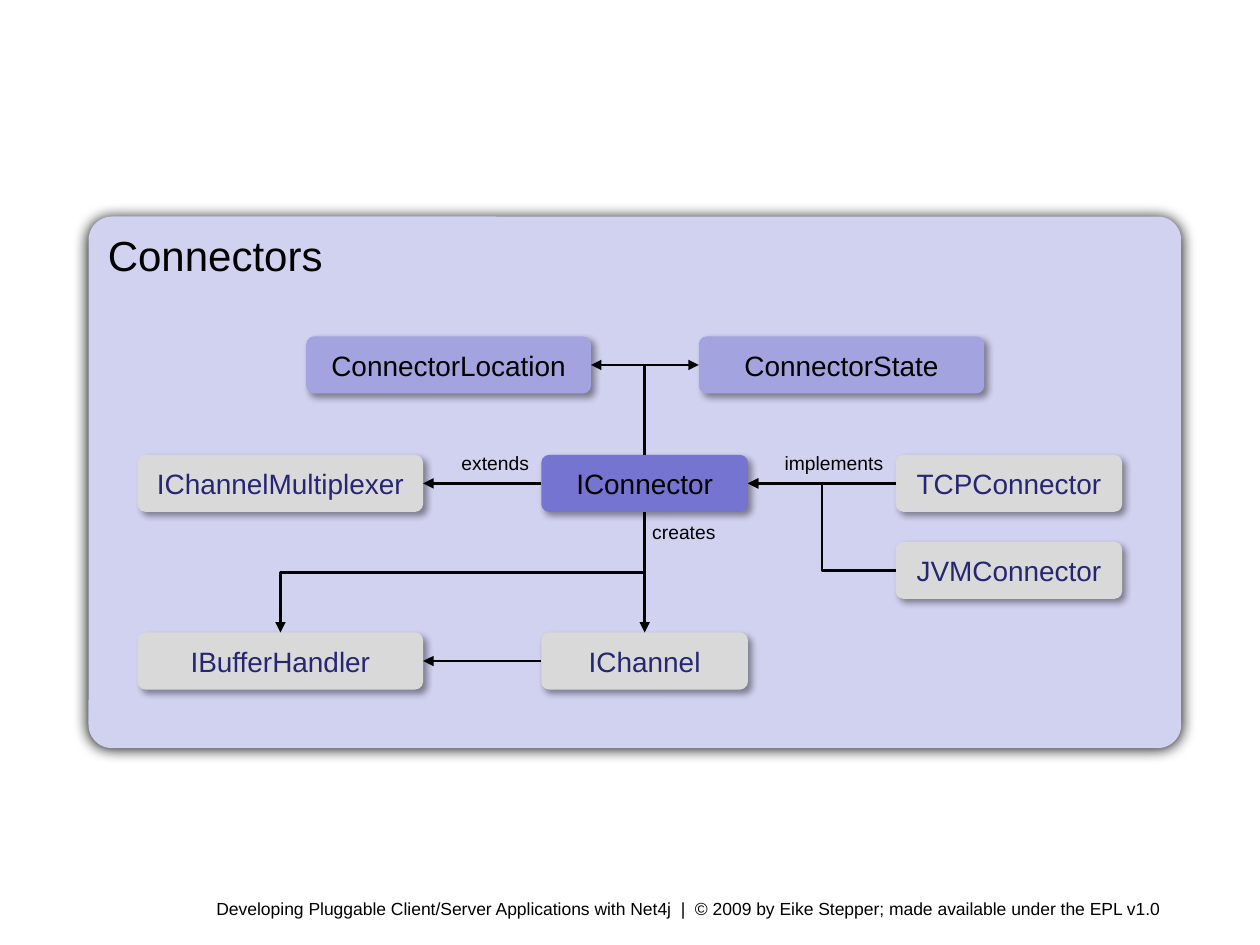
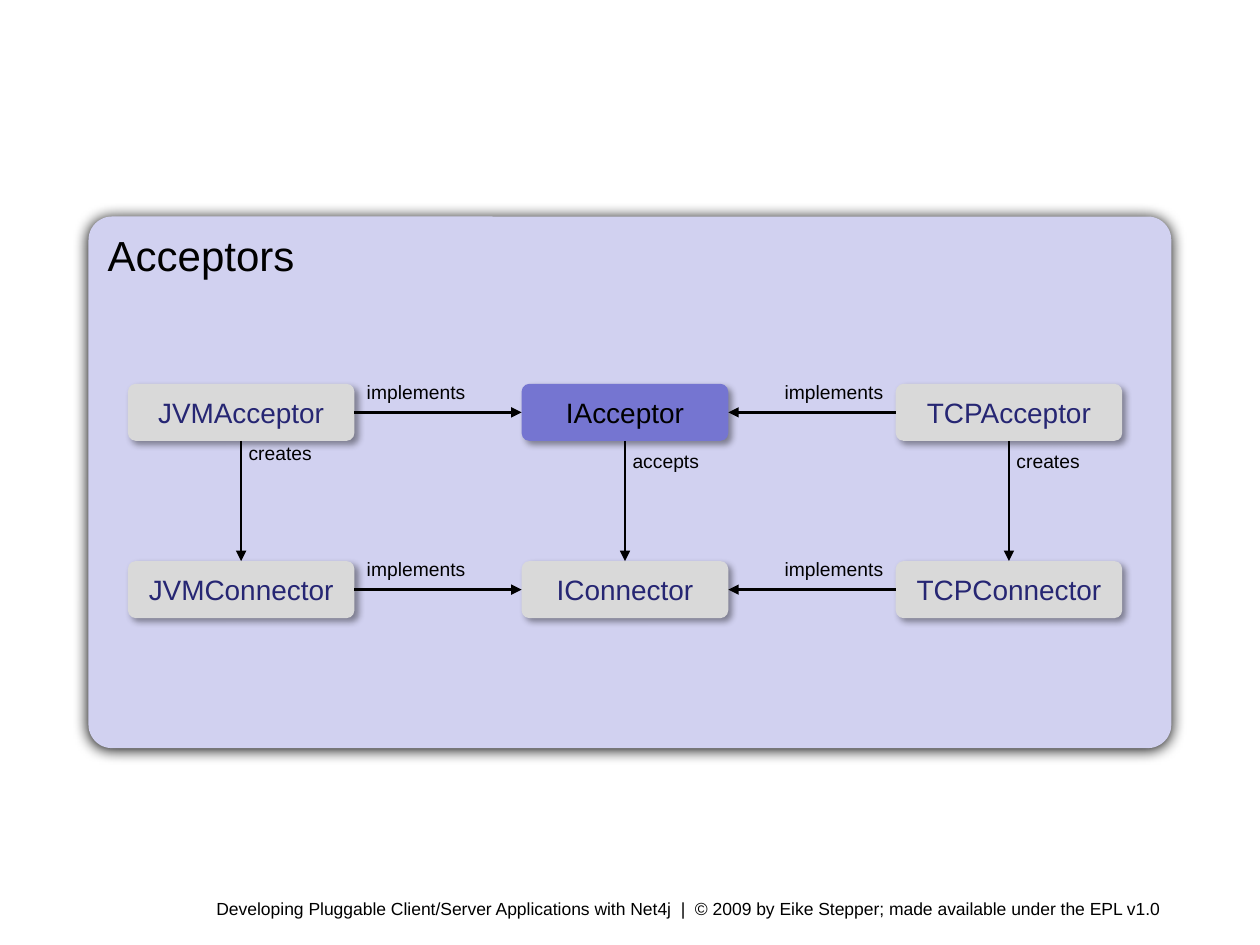
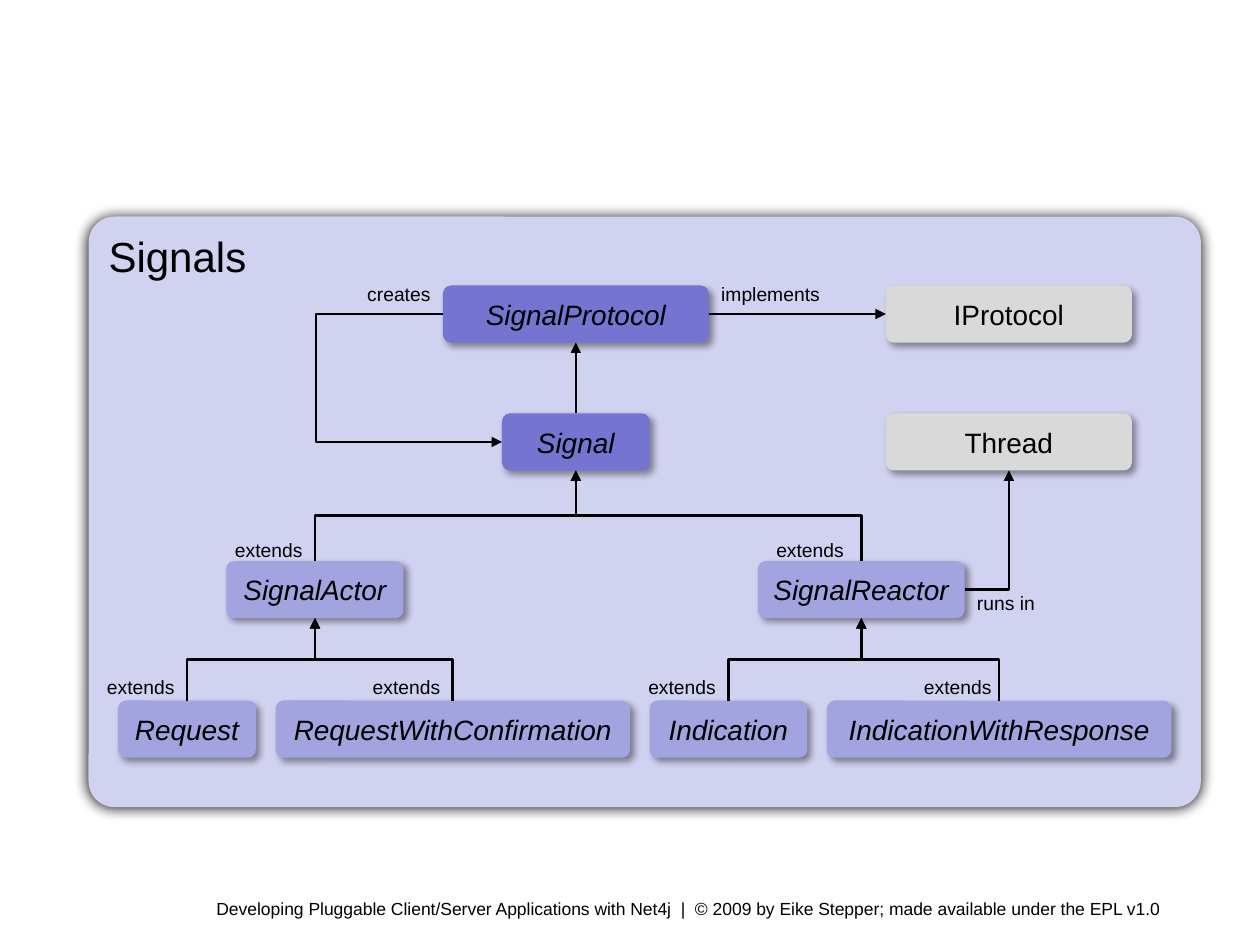
from dataclasses import dataclass
from functools import partial

from lxml.etree import SubElement
from pptx import Presentation
from pptx.dml.color import RGBColor
from pptx.enum.shapes import MSO_CONNECTOR, MSO_SHAPE
from pptx.enum.text import MSO_ANCHOR, PP_ALIGN
from pptx.oxml.ns import qn
from pptx.util import Pt

BLACK = RGBColor(0x00, 0x00, 0x00)
NAVY = RGBColor(0x26, 0x26, 0x73)
LAVENDER = RGBColor(0xD1, 0xD1, 0xF0)
LILAC = RGBColor(0xA3, 0xA3, 0xE0)
VIOLET = RGBColor(0x75, 0x75, 0xD1)
GREY = RGBColor(0xD9, 0xD9, 0xD9)

FONT = "Arial"
FOOTER = (" Developing Pluggable Client/Server Applications with Net4j  |  "
          "© 2009 by Eike Stepper; made available under the EPL v1.0")
NODE_HEIGHT = 32.6
NARROW, MEDIUM, WIDE = 118.1, 129.4, 163.1
SITES = {"top": 0, "left": 1, "bottom": 2, "right": 3}


@dataclass
class Box:
    """An area of the slide in points."""
    left: float
    top: float
    width: float
    height: float

    def lengths(self):
        """Return the four measures as lengths."""
        return Pt(self.left), Pt(self.top), Pt(self.width), Pt(self.height)


def write(shape, text, size=16, color=BLACK, italic=False,
          align=PP_ALIGN.LEFT, anchor=MSO_ANCHOR.TOP):
    """Put formatted text into a shape."""
    frame = shape.text_frame
    frame.word_wrap = True
    frame.vertical_anchor = anchor
    paragraph = frame.paragraphs[0]
    paragraph.alignment = align
    run = paragraph.add_run()
    run.text = text
    run.font.name = FONT
    run.font.size = Pt(size)
    run.font.italic = italic
    run.font.color.rgb = color


def cast_shadow(shape, alpha, blur, distance, angle):
    """Give a shape a black outer shadow."""
    shape.shadow.inherit = False
    effects = shape._element.spPr.find(qn("a:effectLst"))
    shadow = SubElement(effects, qn("a:outerShdw"), blurRad=str(Pt(blur)),
                        dist=str(Pt(distance)), dir=str(angle * 60000),
                        algn="ctr", rotWithShape="0")
    tint = SubElement(shadow, qn("a:srgbClr"), val=str(BLACK))
    SubElement(tint, qn("a:alpha"), val=str(alpha * 1000))


def add_rounded(slide, box, fill, rounding):
    """Add a borderless rounded rectangle."""
    shape = slide.shapes.add_shape(MSO_SHAPE.ROUNDED_RECTANGLE, *box.lengths())
    shape.adjustments[0] = rounding
    shape.fill.solid()
    shape.fill.fore_color.rgb = fill
    shape.line.fill.background()
    return shape


def add_panel(slide, box, title):
    """Add the titled background of a diagram."""
    panel = add_rounded(slide, box, LAVENDER, 0.044)
    cast_shadow(panel, 100, 8.5, 1, 90)
    write(panel, title, size=24)


def add_node(slide, panel, text, x, y, width, fill=GREY, color=BLACK, italic=False):
    """Add a type box at an offset inside the panel."""
    box = Box(panel.left + x, panel.top + y, width, NODE_HEIGHT)
    node = add_rounded(slide, box, fill, 0.138)
    cast_shadow(node, 40, 4, 3, 45)
    write(node, text, color=color, italic=italic,
          align=PP_ALIGN.CENTER, anchor=MSO_ANCHOR.MIDDLE)
    return node


def site(node, side):
    """Return the middle of one side of a node."""
    x = {"left": 0, "right": node.width}.get(side, node.width // 2)
    y = {"top": 0, "bottom": node.height}.get(side, node.height // 2)
    return node.left + x, node.top + y


def add_label(slide, text, node, side, width=78.75, shift=0, drop=-21.9,
              align=PP_ALIGN.LEFT):
    """Add a relation name that starts or ends at one side of a node."""
    x, y = site(node, side)
    if align == PP_ALIGN.RIGHT:
        x -= Pt(width)
    label = slide.shapes.add_textbox(x + Pt(shift), y + Pt(drop), Pt(width), Pt(21))
    write(label, text, size=11, align=align)


def style_arrow(connector):
    """Make a connector a plain black arrow."""
    connector.line.color.rgb = BLACK
    connector.line.width = Pt(1.5)
    SubElement(connector.line._get_or_add_ln(), qn("a:tailEnd"), type="triangle")
    SubElement(connector._element.spPr, qn("a:effectLst"))


def add_arrow(slide, source, source_side, target, target_side):
    """Join two nodes with a straight arrow."""
    arrow = slide.shapes.add_connector(
        MSO_CONNECTOR.STRAIGHT, *site(source, source_side), *site(target, target_side))
    arrow.begin_connect(source, SITES[source_side])
    arrow.end_connect(target, SITES[target_side])
    style_arrow(arrow)


def add_elbow(slide, source, source_side, target, target_side, bend=None):
    """Join two nodes with a right-angled arrow, with one corner or two."""
    (x1, y1), (x2, y2) = site(source, source_side), site(target, target_side)
    arrow = slide.shapes.add_connector(MSO_CONNECTOR.ELBOW, x1, y1, x2, y2)
    properties = arrow._element.spPr
    vertical = ("top", "bottom")
    if source_side in vertical:
        across, down = x2 - x1, y2 - y1
        arrow.width, arrow.height = abs(down), abs(across)
        arrow.left = (x1 + x2 - abs(down)) // 2
        arrow.top = (y1 + y2 - abs(across)) // 2
        turned_back = across < 0 and down < 0
        frame = properties.find(qn("a:xfrm"))
        frame.set("rot", str((270 if turned_back else 90) * 60000))
        frame.set("flipH", str(int(down < 0 and not turned_back)))
        frame.set("flipV", str(int(across > 0 or turned_back)))
    geometry = properties.find(qn("a:prstGeom"))
    if (source_side in vertical) != (target_side in vertical):
        geometry.set("prst", "bentConnector2")
    elif bend is not None:
        guides = geometry.find(qn("a:avLst"))
        if guides is None:
            guides = SubElement(geometry, qn("a:avLst"))
        SubElement(guides, qn("a:gd"), name="adj1", fmla=f"val {round(bend * 100000)}")
    style_arrow(arrow)


def add_footer(slide, box):
    """Add the credit line below the diagram."""
    write(slide.shapes.add_textbox(*box.lengths()), FOOTER, size=10)


def draw_connectors(slide, box):
    """Draw the connector types."""
    add_panel(slide, box, "Connectors")
    node = partial(add_node, slide, box)
    arrow, elbow = partial(add_arrow, slide), partial(add_elbow, slide)
    label = partial(add_label, slide)
    enum_row, main_row, jvm_row, channel_row = 68.5, 136.2, 185.9, 237.7
    left, middle, right = 28.1, 258.75, 461.25

    location = node("ConnectorLocation", 124.4, enum_row, 162.7, LILAC)
    state = node("ConnectorState", 348.75, enum_row, WIDE, LILAC)
    multiplexer = node("IChannelMultiplexer", left, main_row, WIDE, color=NAVY)
    connector = node("IConnector", middle, main_row, NARROW, VIOLET)
    tcp = node("TCPConnector", right, main_row, MEDIUM, color=NAVY)
    jvm = node("JVMConnector", right, jvm_row, MEDIUM, color=NAVY)
    handler = node("IBufferHandler", left, channel_row, WIDE, color=NAVY)
    channel = node("IChannel", middle, channel_row, NARROW, color=NAVY)

    elbow(connector, "top", state, "left")
    elbow(connector, "top", location, "right")
    elbow(connector, "bottom", handler, "top")
    elbow(jvm, "left", connector, "right")
    arrow(tcp, "left", connector, "right")
    arrow(connector, "left", multiplexer, "right")
    arrow(connector, "bottom", channel, "top")
    arrow(channel, "left", handler, "right")

    label("implements", tcp, "left", align=PP_ALIGN.RIGHT)
    label("extends", connector, "left", width=95.6, align=PP_ALIGN.RIGHT)
    label("creates", connector, "bottom", width=67.5, shift=-2.8, drop=1.4)


def draw_acceptors(slide, box):
    """Draw the acceptor types above the connectors they handle."""
    add_panel(slide, box, "Acceptors")
    arrow, label = partial(add_arrow, slide), partial(add_label, slide)
    columns = ((22.5, MEDIUM, "JVM", "creates", -3.5),
               (247.5, NARROW, "I", "accepts", 1.4),
               (461.25, MEDIUM, "TCP", "creates", 1.4))
    rows = {"Acceptor": 95.6, "Connector": 196.9}
    nodes = {}
    for x, width, prefix, relation, drop in columns:
        for kind, y in rows.items():
            main = prefix + kind == "IAcceptor"
            nodes[prefix, kind] = add_node(
                slide, box, prefix + kind, x, y, width,
                VIOLET if main else GREY, BLACK if main else NAVY)
        acceptor = nodes[prefix, "Acceptor"]
        arrow(acceptor, "bottom", nodes[prefix, "Connector"], "top")
        label(relation, acceptor, "bottom", width=67.5, shift=-2.8, drop=drop)
    for kind in rows:
        jvm, interface, tcp = (nodes[prefix, kind] for prefix in ("JVM", "I", "TCP"))
        arrow(jvm, "right", interface, "left")
        arrow(tcp, "left", interface, "right")
        label("implements", jvm, "right")
        label("implements", tcp, "left", align=PP_ALIGN.RIGHT)


def draw_signals(slide, box):
    """Draw the signal class tree."""
    add_panel(slide, box, "Signals")
    node = partial(add_node, slide, box)
    arrow, elbow = partial(add_arrow, slide), partial(add_elbow, slide)
    label = partial(add_label, slide)
    protocol_row, signal_row, role_row, leaf_row = 39.4, 112.5, 196.9, 276.6

    protocol = node("SignalProtocol", 202.5, protocol_row, 151.9, VIOLET, italic=True)
    interface = node("IProtocol", 455.6, protocol_row, 140.6)
    signal = node("Signal", 236.25, signal_row, 84.4, VIOLET, italic=True)
    thread = node("Thread", 455.6, signal_row, 140.6)
    abstract = partial(node, fill=LILAC, italic=True)
    actor = abstract("SignalActor", 78.75, role_row, 101.25)
    reactor = abstract("SignalReactor", 382.5, role_row, NARROW)
    request = abstract("Request", 16.9, leaf_row, 78.75)
    confirmed = abstract("RequestWithConfirmation", 106.9, leaf_row, 202.5)
    indication = abstract("Indication", 320.6, leaf_row, 90)
    response = abstract("IndicationWithResponse", 421.9, leaf_row, 196.9)

    inheritance = ((request, actor, 56.25, 0, -18), (confirmed, actor, 56.25, 0, -18),
                   (indication, reactor, 56.25, 0, -18),
                   (response, reactor, 56.25, 2.8, -18),
                   (actor, signal, 73.1, 0, -16.7), (reactor, signal, 56.25, -2.8, -16.7))
    for child, parent, width, shift, drop in inheritance:
        elbow(child, "top", parent, "bottom")
        label("extends", child, "top", width=width, shift=shift, drop=drop,
              align=PP_ALIGN.RIGHT)

    arrow(protocol, "right", interface, "left")
    arrow(signal, "top", protocol, "bottom")
    elbow(protocol, "left", signal, "left", bend=-2.15)
    elbow(reactor, "right", thread, "bottom")
    label("implements", protocol, "right", width=73.1)
    label("creates", protocol, "left", width=73.1, align=PP_ALIGN.RIGHT)
    label("runs in", reactor, "right", width=101.25, drop=-2.8)


def build():
    """Build and save the presentation."""
    deck = Presentation()
    deck.slide_width, deck.slide_height = Pt(720), Pt(540)
    diagrams = ((draw_connectors, 624.4, 303.75), (draw_acceptors, 618.75, 303.75),
                (draw_signals, 635.6, 337.5))
    for draw, width, height in diagrams:
        slide = deck.slides.add_slide(deck.slide_layouts[6])
        add_footer(slide, Box(113.8, 509.8, 606.2, 19.4))
        draw(slide, Box(50.6, 123.75, width, height))
    deck.save("out.pptx")


build()
